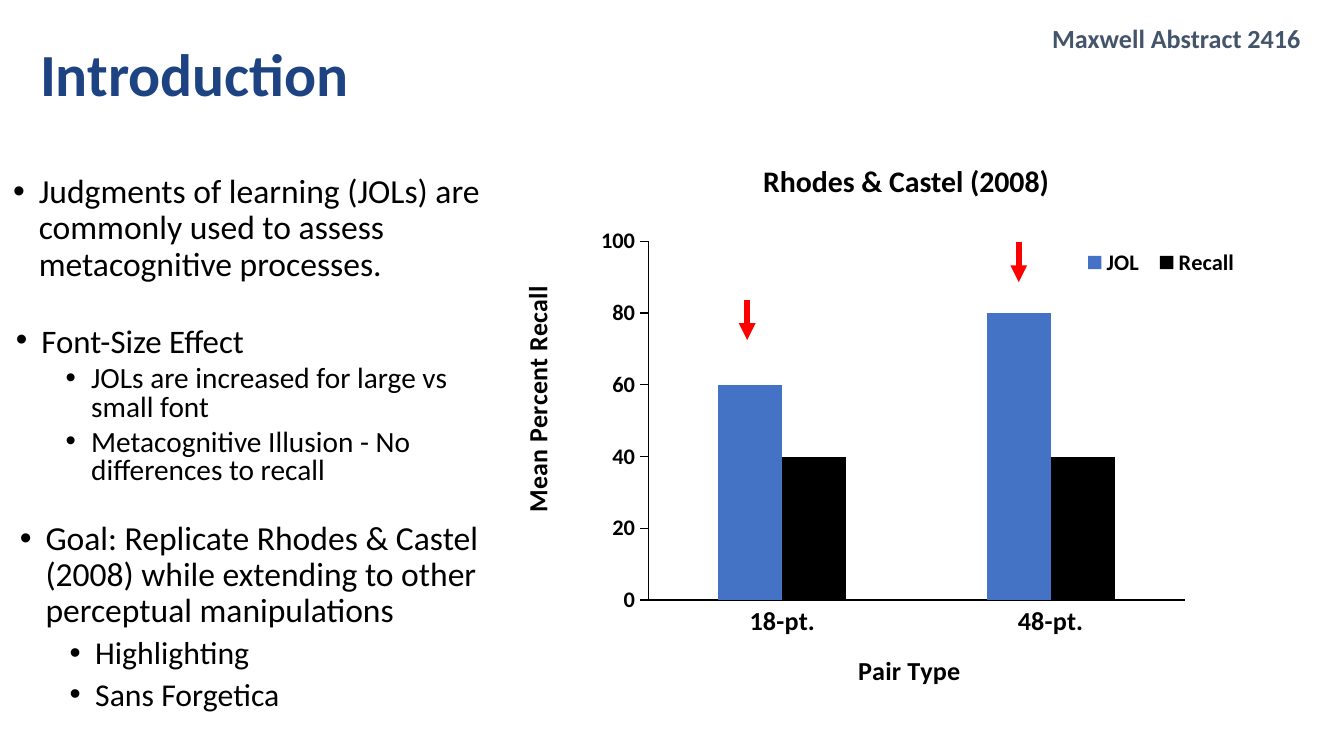
from dataclasses import dataclass

from lxml import etree
from pptx import Presentation
from pptx.chart.data import CategoryChartData
from pptx.dml.color import RGBColor
from pptx.enum.chart import XL_CHART_TYPE as ChartType
from pptx.enum.chart import XL_LEGEND_POSITION as LegendPos
from pptx.enum.chart import XL_TICK_MARK as Tick
from pptx.enum.shapes import MSO_CONNECTOR as Connector
from pptx.enum.text import MSO_ANCHOR as Anchor
from pptx.oxml.ns import qn
from pptx.util import Inches, Pt

FONT = "Calibri"
NAVY = RGBColor(0x1E, 0x43, 0x83)
SLATE = RGBColor(0x44, 0x54, 0x6A)
BLACK = RGBColor(0, 0, 0)
BLUE = RGBColor(0x44, 0x72, 0xC4)
RED = RGBColor(0xFF, 0, 0)


@dataclass
class Bullet:
    text: str
    size: float
    level: int = 0


@dataclass
class BulletBox:
    left: float
    top: float
    height: float
    spacing: float
    bullets: list[Bullet]


BULLET_BOXES = [
    BulletBox(0, 1.25, 1.1, 0.9, [
        Bullet("Judgments of learning (JOLs) are commonly used to assess "
               "metacognitive processes.", 18),
    ]),
    BulletBox(0.02, 2.39, 1.3, 0.8, [
        Bullet("Font-Size Effect", 17.6),
        Bullet("JOLs are increased for large vs small font", 15.7, 1),
        Bullet("Metacognitive Illusion - No differences to recall", 15.7, 1),
    ]),
    BulletBox(0.05, 3.83, 1.72, 0.9, [
        Bullet("Goal: Replicate Rhodes & Castel (2008) while extending to "
               "other perceptual manipulations", 18),
        Bullet("Highlighting", 17, 1),
        Bullet("Sans Forgetica", 17, 1),
    ]),
]


def style_font(font, size: float, color: RGBColor = BLACK, bold: bool = False) -> None:
    font.name = FONT
    font.size = Pt(size)
    font.bold = bold
    font.color.rgb = color


def add_run(p, text: str, **fmt) -> None:
    r = p.add_run()
    r.text = text
    style_font(r.font, **fmt)


def add_box(slide, left: float, top: float, width: float, height: float):
    sp = slide.shapes.add_textbox(Inches(left), Inches(top), Inches(width), Inches(height))
    sp.text_frame.word_wrap = True
    return sp.text_frame


def add_text(slide, text: str, left: float, top: float, width: float, height: float,
             anchor=Anchor.TOP, spacing: float = 1.0, **fmt) -> None:
    tf = add_box(slide, left, top, width, height)
    tf.vertical_anchor = anchor
    p = tf.paragraphs[0]
    p.line_spacing = spacing
    add_run(p, text, **fmt)


def add_bullets(slide, box: BulletBox) -> None:
    tf = add_box(slide, box.left, box.top, 3.71, box.height)
    for i, bullet in enumerate(box.bullets):
        p = tf.add_paragraph() if i else tf.paragraphs[0]
        p.level = bullet.level
        p.line_spacing = box.spacing
        if i:
            p.space_before = Pt(3.8 if bullet.level else 7.5)
        pPr = p._p.get_or_add_pPr()
        pPr.set("marL", str(Inches(0.56 if bullet.level else 0.19)))
        pPr.set("indent", str(-Inches(0.19)))
        etree.SubElement(pPr, qn("a:buFont")).set("typeface", "Arial")
        etree.SubElement(pPr, qn("a:buChar")).set("char", "•")
        add_run(p, bullet.text, size=bullet.size)


def set_layout(element, index: int, inner: bool = False, **fractions: float) -> None:
    for old in element.findall(qn("c:layout")):
        element.remove(old)
    layout = etree.Element(qn("c:layout"))
    manual = etree.SubElement(layout, qn("c:manualLayout"))
    values = {"layoutTarget": "inner"} if inner else {}
    values |= {"xMode": "edge", "yMode": "edge"} | fractions
    for tag, value in values.items():
        etree.SubElement(manual, qn(f"c:{tag}")).set("val", str(value))
    element.insert(index, layout)


def style_axis(axis, title: str, size: float, tick, x: float, y: float) -> None:
    axis.has_major_gridlines = False
    axis.major_tick_mark = tick
    axis.minor_tick_mark = Tick.NONE
    axis.format.line.color.rgb = BLACK
    axis.format.line.width = Pt(0.75)
    style_font(axis.tick_labels.font, size, bold=True)
    tf = axis.axis_title.text_frame
    add_run(tf.paragraphs[0], title, size=14, bold=True)
    set_layout(axis.axis_title._element, 1, x=x, y=y)


def add_recall_chart(slide) -> None:
    data = CategoryChartData()
    data.categories = ["18-pt.", "48-pt."]
    data.add_series("JOL", [60, 80])
    data.add_series("Recall", [40, 40])
    chart = slide.shapes.add_chart(
        ChartType.COLUMN_CLUSTERED, Inches(3.65), Inches(1.62), Inches(5.87), Inches(3.55), data
    ).chart
    chart.has_title = False
    style_font(chart.font, 10)
    plot = chart.plots[0]
    plot.gap_width = 219
    plot.vary_by_categories = False
    for series, color in zip(plot.series, (BLUE, BLACK)):
        series.format.fill.solid()
        series.format.fill.fore_color.rgb = color

    style_axis(chart.category_axis, "Pair Type", 14, Tick.NONE, 0.46, 0.91)
    axis = chart.value_axis
    style_axis(axis, "Mean Percent Recall", 12, Tick.OUTSIDE, 0.03, 0.14)
    bodyPr = axis.axis_title.text_frame._txBody.bodyPr
    bodyPr.set("rot", "-5400000")
    bodyPr.set("vert", "horz")
    axis.minimum_scale, axis.maximum_scale, axis.major_unit = 0, 100, 20

    chart.has_legend = True
    legend = chart.legend
    legend.position = LegendPos.RIGHT
    legend.include_in_layout = False
    style_font(legend.font, 12, bold=True)
    set_layout(legend._element, 1, x=0.74, y=0.05, w=0.22, h=0.09)
    plot_area = chart._chartSpace.chart.plotArea
    set_layout(plot_area, 0, inner=True, x=0.2, y=0.05, w=0.68, h=0.76)


def add_down_arrow(slide, x: float, top: float) -> None:
    line = slide.shapes.add_connector(
        Connector.STRAIGHT, Inches(x), Inches(top), Inches(x), Inches(top + 0.3))
    line.line.color.rgb = RED
    line.line.width = Pt(3)
    etree.SubElement(line.line._get_or_add_ln(), qn("a:tailEnd")).set("type", "triangle")
    etree.SubElement(line._element.spPr, qn("a:effectLst"))


def main() -> None:
    prs = Presentation()
    prs.slide_width = Inches(10)
    prs.slide_height = prs.slide_width * 9 // 16
    slide = prs.slides.add_slide(prs.slide_layouts[6])
    add_text(slide, "Introduction", 0.2, 0.03, 8.62, 1.09,
             anchor=Anchor.MIDDLE, spacing=0.9, size=32, color=NAVY, bold=True)
    add_recall_chart(slide)
    add_text(slide, "Rhodes & Castel (2008)", 5.58, 1.16, 3.89, 0.37, size=16, bold=True)
    add_text(slide, "Maxwell Abstract 2416", 7.73, 0.12, 2.2, 0.34,
             size=14, color=SLATE, bold=True)
    for x, top in ((5.56, 2.23), (7.58, 1.8)):
        add_down_arrow(slide, x, top)
    for box in BULLET_BOXES:
        add_bullets(slide, box)
    prs.save("out.pptx")


if __name__ == "__main__":
    main()
